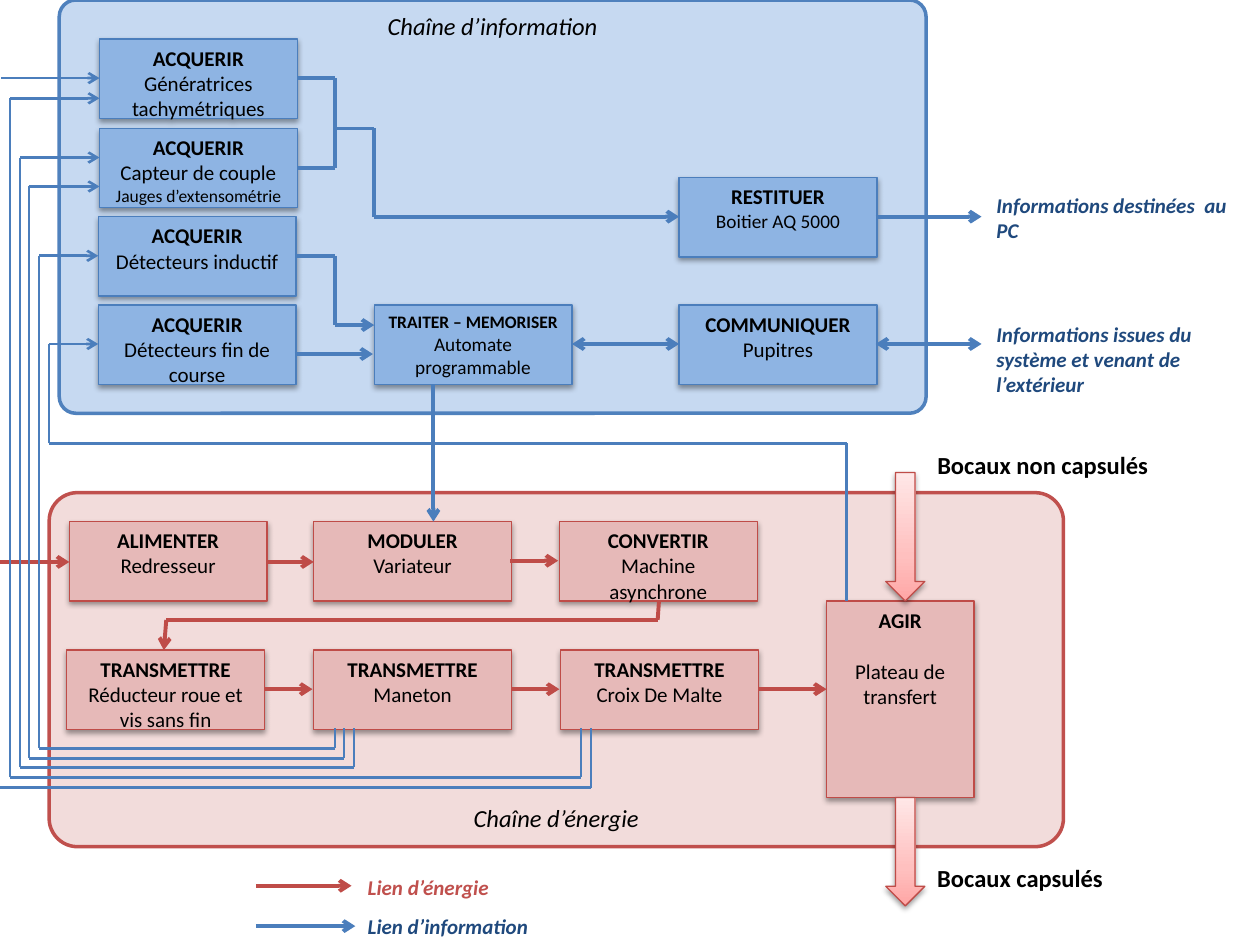
"""Build the functional chain diagram: information flow above, energy flow below."""
from copy import deepcopy

from lxml import etree
from pptx import Presentation, util as u
from pptx.dml.color import RGBColor
from pptx.enum import shapes, text
from pptx.oxml.ns import qn

SCALE = 9144
BLACK = RGBColor(0, 0, 0)
NAVY = RGBColor(0x1F, 0x49, 0x7D)
BLUE = RGBColor(0x4B, 0x7E, 0xBC)
BLUE_EDGE = RGBColor(0x4F, 0x81, 0xBD)
BLUE_BOX = RGBColor(0x8E, 0xB4, 0xE3)
BLUE_PALE = RGBColor(0xC6, 0xD9, 0xF1)
RED = RGBColor(0xBF, 0x4C, 0x48)
RED_EDGE = RGBColor(0xC0, 0x50, 0x4D)
RED_BOX = RGBColor(0xE6, 0xB9, 0xB8)
RED_PALE = RGBColor(0xF2, 0xDC, 0xDB)
FADE = [(0, RGBColor(0xFF, 0xA6, 0xA5)), (0.35, RGBColor(0xFF, 0xC0, 0xBF)),
        (1, RGBColor(0xFF, 0xE7, 0xE7))]
WIDE, HIGH = 157, 63


def px(*vals):
    return [u.Emu(val * SCALE) for val in vals]


class Board:
    """Hold the style and the current slide."""

    def __init__(self, deck, font):
        self.font = font
        self.slide = deck.slides.add_slide(deck.slide_layouts[6])
        self.items = self.slide.shapes

    def letter(self, par, words, size, color=BLACK, bold=False, ital=False):
        par.text = words
        font = par.font
        font.name, font.size, font.bold, font.italic = self.font, u.Pt(size), bold, ital
        font.color.rgb = color

    def shape(self, kind, area, line, width, fill=None):
        item = self.items.add_shape(kind, *px(*area))
        item.shadow.inherit = False
        item.line.color.rgb, item.line.width = line, u.Pt(width)
        if fill is not None:
            item.fill.solid()
            item.fill.fore_color.rgb = fill
        return item

    def shade(self, item):
        effects = item._element.spPr.find(qn("a:effectLst"))
        outer = etree.SubElement(effects, qn("a:outerShdw"), blurRad="40000",
                                 dist="20000", dir="5400000", rotWithShape="0")
        color = etree.SubElement(outer, qn("a:srgbClr"), val="000000")
        etree.SubElement(color, qn("a:alpha"), val="38000")

    def panel(self, area, title, fill, line, round, anchor):
        item = self.shape(shapes.MSO_SHAPE.ROUNDED_RECTANGLE, area, line, 2, fill)
        item.adjustments[0] = round
        frame = item.text_frame
        frame.vertical_anchor = anchor
        frame.paragraphs[0].alignment = text.PP_ALIGN.CENTER
        self.letter(frame.paragraphs[0], title, 14, ital=True)

    def box(self, left, top, title, *lines, fill=BLUE_BOX, line=BLUE,
            wide=WIDE, high=HIGH, size=12, gap=0):
        item = self.shape(shapes.MSO_SHAPE.RECTANGLE, (left, top, wide, high), line, 0.75, fill)
        self.shade(item)
        frame = item.text_frame
        frame.word_wrap = True
        frame.vertical_anchor = text.MSO_ANCHOR.TOP
        par = frame.paragraphs[0]
        par.alignment = text.PP_ALIGN.CENTER
        self.letter(par, title, size, bold=True)
        for words, points in lines:
            par = frame.add_paragraph()
            par.alignment = text.PP_ALIGN.CENTER
            if gap:
                par.space_before = u.Pt(gap)
            self.letter(par, words, points)

    def block(self, left, top, wide, high):
        item = self.shape(shapes.MSO_SHAPE.DOWN_ARROW, (left, top, wide, high), RED, 0.75)
        self.shade(item)
        item.fill.gradient()
        stops = item._element.spPr.find(".//" + qn("a:gsLst"))
        stops.insert(1, deepcopy(stops[0]))
        for node, stop, (place, color) in zip(stops, item.fill.gradient_stops, FADE):
            node.set("pos", str(int(place * 100000)))
            stop.color.rgb = color
        item.fill.gradient_angle = 90

    def label(self, area, words, size, color, ital=True, wrap=True):
        frame = self.items.add_textbox(*px(*area)).text_frame
        frame.word_wrap = wrap
        frame.auto_size = text.MSO_AUTO_SIZE.SHAPE_TO_FIT_TEXT
        self.letter(frame.paragraphs[0], words, size, color, True, ital)

    def route(self, *spots, color=BLUE, width=2.25, head=False, tail=True):
        for step, (start, end) in enumerate(zip(spots, spots[1:]), 2):
            item = self.items.add_connector(shapes.MSO_CONNECTOR.STRAIGHT, *px(*start, *end))
            item.line.color.rgb, item.line.width = color, u.Pt(width)
            prop = item._element.spPr
            edge = prop.find(qn("a:ln"))
            if head and step == 2:
                etree.SubElement(edge, qn("a:headEnd"), type="arrow")
            if tail and step == len(spots):
                etree.SubElement(edge, qn("a:tailEnd"), type="arrow")
            etree.SubElement(prop, qn("a:effectLst"))


def main():
    deck = Presentation()
    deck.slide_width, deck.slide_height = px(1000, 750)
    board = Board(deck, "Calibri")

    board.panel((39, 391, 805, 281), "Chaîne d’énergie", RED_PALE, RED_EDGE,
                0.08, text.MSO_ANCHOR.BOTTOM)
    board.panel((47, 0, 688, 328), "Chaîne d’information", BLUE_PALE, BLUE_EDGE,
                0.04, text.MSO_ANCHOR.TOP)

    for left, top, *lines in (
            (79, 31, ("Génératrices tachymétriques", 12)),
            (79, 102, ("Capteur de couple", 12), ("Jauges d’extensométrie", 10)),
            (78, 172, ("Détecteurs inductif", 12)),
            (78, 242, ("Détecteurs fin de course", 12))):
        board.box(left, top, "ACQUERIR", *lines)
    board.box(297, 242, "TRAITER – MEMORISER", ("Automate programmable", 11), size=10)
    board.box(539, 242, "COMMUNIQUER", ("Pupitres", 12))
    board.box(539, 141, "RESTITUER", ("Boitier AQ 5000", 11))

    for left, top, title, words in (
            (55, 414, "ALIMENTER", "Redresseur"),
            (249, 414, "MODULER", "Variateur"),
            (444, 414, "CONVERTIR", "Machine asynchrone"),
            (53, 516, "TRANSMETTRE", "Réducteur roue et vis sans fin"),
            (249, 516, "TRANSMETTRE", "Maneton"),
            (445, 516, "TRANSMETTRE", "Croix De Malte")):
        board.box(left, top, title, (words, 12), fill=RED_BOX, line=RED)
    board.box(656, 477, "AGIR", ("Plateau de transfert", 12), fill=RED_BOX, line=RED,
              wide=117, high=156, gap=14.65)

    for top, high in ((375, 102), (633, 86)):
        board.block(703, top, 31, high)

    for start, end, level in ((0, 55, 446), (212, 249, 446), (405, 443, 445),
                              (210, 248, 547), (406, 444, 547), (602, 656, 547),
                              (203, 279, 703)):
        board.route((start, level), (end, level), color=RED)
    board.route((523, 477), (522, 492), (132, 492), (130, 516), color=RED)

    board.route((236, 62), (266, 62), (266, 133), (236, 133), tail=False)
    board.route((266, 102), (297, 102), (297, 172), (539, 172))
    board.route((234, 203), (266, 203), (266, 258), (297, 258))
    board.route((344, 305), (344, 414))
    for start, end, level, both in ((234, 296, 281, False), (695, 779, 172, False),
                                    (454, 539, 273, True), (695, 779, 273, True),
                                    (203, 282, 735, False)):
        board.route((start, level), (end, level), head=both)

    for start, low, left, top, end in ((266, 594, 31, 203, 78), (273, 602, 23, 148, 79),
                                       (281, 609, 16, 125, 79), (461, 617, 8, 78, 79)):
        board.route((start, 578), (start, low), (left, low), (left, top), (end, top), width=1.5)
    board.route((672, 477), (672, 352), (39, 352), (39, 273), (78, 273), width=1.5)
    board.route((469, 578), (469, 625), (0, 625), width=1.5, tail=False)
    board.route((1, 62), (79, 62), width=1.5)

    board.label((781, 148, 206, 50), "Informations destinées  au PC", 12, NAVY)
    board.label((781, 250, 203, 71),
                "Informations issues du système et venant de l’extérieur", 12, NAVY)
    board.label((282, 720, 150, 30), "Lien d’information", 12, NAVY)
    board.label((282, 689, 118, 30), "Lien d’énergie", 12, RED_EDGE, wrap=False)
    board.label((734, 352, 189, 34), "Bocaux non capsulés", 14, BLACK, ital=False, wrap=False)
    board.label((734, 680, 153, 34), "Bocaux capsulés", 14, BLACK, ital=False, wrap=False)
    deck.save("out.pptx")


if __name__ == "__main__":
    main()
